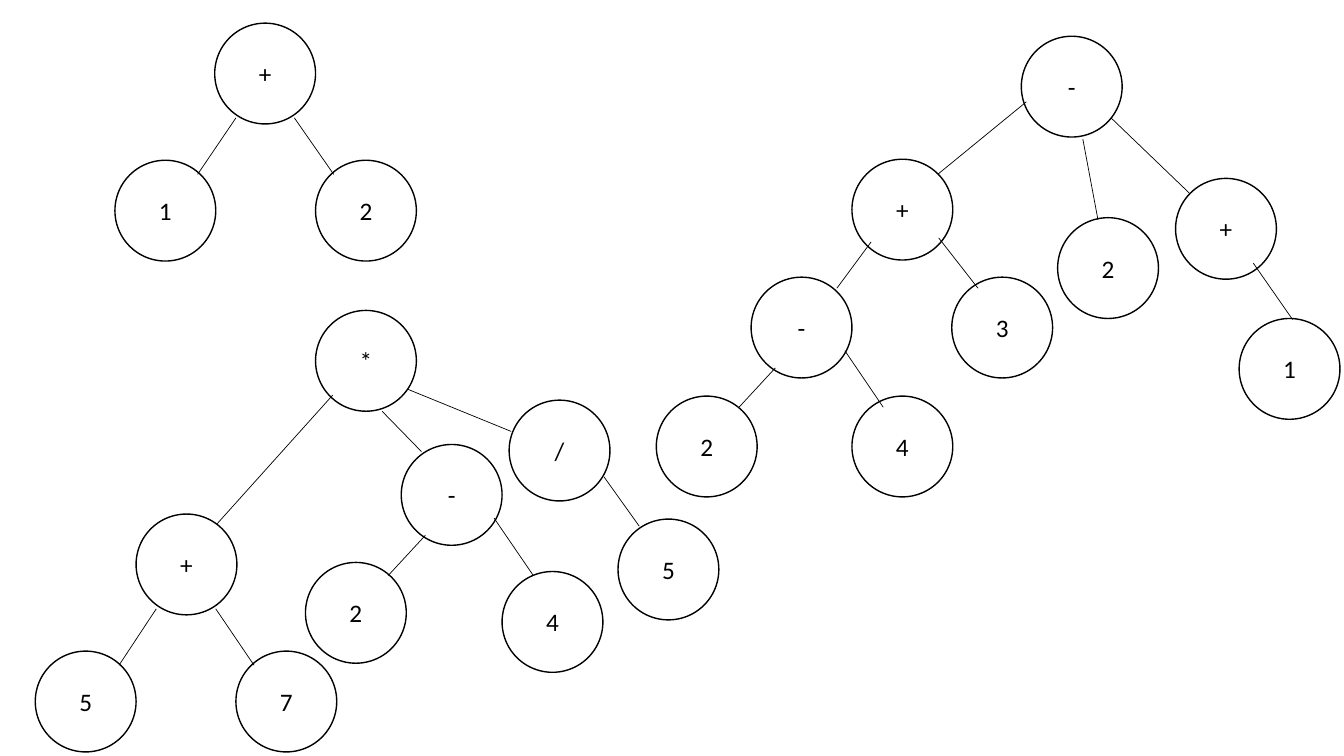
from pptx import Presentation
from pptx.dml.color import RGBColor
from pptx.enum.shapes import MSO_CONNECTOR, MSO_SHAPE
from pptx.enum.text import MSO_ANCHOR, PP_ALIGN
from pptx.oxml.ns import qn
from pptx.util import Inches, Pt
from lxml import etree

WHITE = RGBColor(0xFF, 0xFF, 0xFF)
BLACK = RGBColor(0x00, 0x00, 0x00)

# Each tree: nodes as (symbol, left, top), branches as (x1, y1, x2, y2), in inches
SUM_TREE = (
    [("+", 2.13, 0.23), ("1", 1.14, 1.59), ("2", 3.13, 1.59)],
    [(2.34, 1.17, 1.96, 1.73), (2.92, 1.17, 3.31, 1.73)],
)
DIFFERENCE_TREE = (
    [("2", 6.51, 3.93), ("-", 7.45, 2.75), ("4", 8.45, 3.93),
     ("+", 8.45, 1.58), ("3", 9.44, 2.75), ("-", 10.13, 0.36),
     ("+", 11.66, 1.77), ("2", 10.49, 2.16), ("1", 12.29, 3.16)],
    [(10.74, 1.38, 10.89, 2.18), (12.43, 2.61, 12.82, 3.17),
     (8.64, 2.4, 8.3, 2.86), (7.69, 3.65, 7.33, 4.04),
     (10.18, 1.01, 9.3, 1.73), (11.02, 1.17, 11.8, 1.92),
     (9.31, 2.36, 9.7, 2.86), (8.38, 3.48, 8.76, 4.04)],
)
PRODUCT_TREE = (
    [("+", 1.35, 5.1), ("5", 0.35, 6.46), ("7", 2.34, 6.46),
     ("*", 3.13, 3.08), ("/", 5.05, 3.97), ("2", 3.03, 5.58),
     ("-", 3.98, 4.41), ("4", 4.98, 5.67), ("5", 6.13, 5.15)],
    [(1.55, 6.04, 1.18, 6.6), (2.14, 6.04, 2.52, 6.6),
     (4.22, 5.31, 3.85, 5.71), (4.9, 5.14, 5.29, 5.71),
     (3.79, 4.08, 4.18, 4.48), (4.04, 3.86, 5.07, 4.28),
     (5.99, 4.73, 6.34, 5.22), (3.3, 3.92, 2.15, 5.2)],
)


class TreeSlide:
    """Draws expression trees in one style on one slide."""

    font_name = "Calibri"
    font_size = Pt(18)
    diameter = Inches(1)
    node_line = Pt(1)
    branch_line = Pt(0.5)

    def __init__(self, slide):
        self.slide = slide

    def node(self, symbol, left, top):
        shape = self.slide.shapes.add_shape(
            MSO_SHAPE.OVAL, Inches(left), Inches(top), self.diameter, self.diameter)
        shape.shadow.inherit = False
        shape.fill.solid()
        shape.fill.fore_color.rgb = WHITE
        shape.line.color.rgb = BLACK
        shape.line.width = self.node_line
        shape.text_frame.vertical_anchor = MSO_ANCHOR.MIDDLE
        paragraph = shape.text_frame.paragraphs[0]
        paragraph.alignment = PP_ALIGN.CENTER
        run = paragraph.add_run()
        run.text = symbol
        run.font.name = self.font_name
        run.font.size = self.font_size
        run.font.color.rgb = BLACK

    def branch(self, x1, y1, x2, y2):
        connector = self.slide.shapes.add_connector(
            MSO_CONNECTOR.STRAIGHT, Inches(x1), Inches(y1), Inches(x2), Inches(y2))
        connector.line.color.rgb = BLACK
        connector.line.width = self.branch_line
        # An empty effect list removes the theme shadow
        etree.SubElement(connector._element.spPr, qn("a:effectLst"))

    def tree(self, nodes, branches):
        for node in nodes:
            self.node(*node)
        for branch in branches:
            self.branch(*branch)


def main():
    presentation = Presentation()
    presentation.slide_width = Inches(13.33)
    presentation.slide_height = Inches(7.5)
    blank_layout = presentation.slide_layouts[6]
    tree_slide = TreeSlide(presentation.slides.add_slide(blank_layout))

    # Expression trees
    for nodes, branches in (SUM_TREE, DIFFERENCE_TREE, PRODUCT_TREE):
        tree_slide.tree(nodes, branches)

    presentation.save("out.pptx")


if __name__ == "__main__":
    main()
